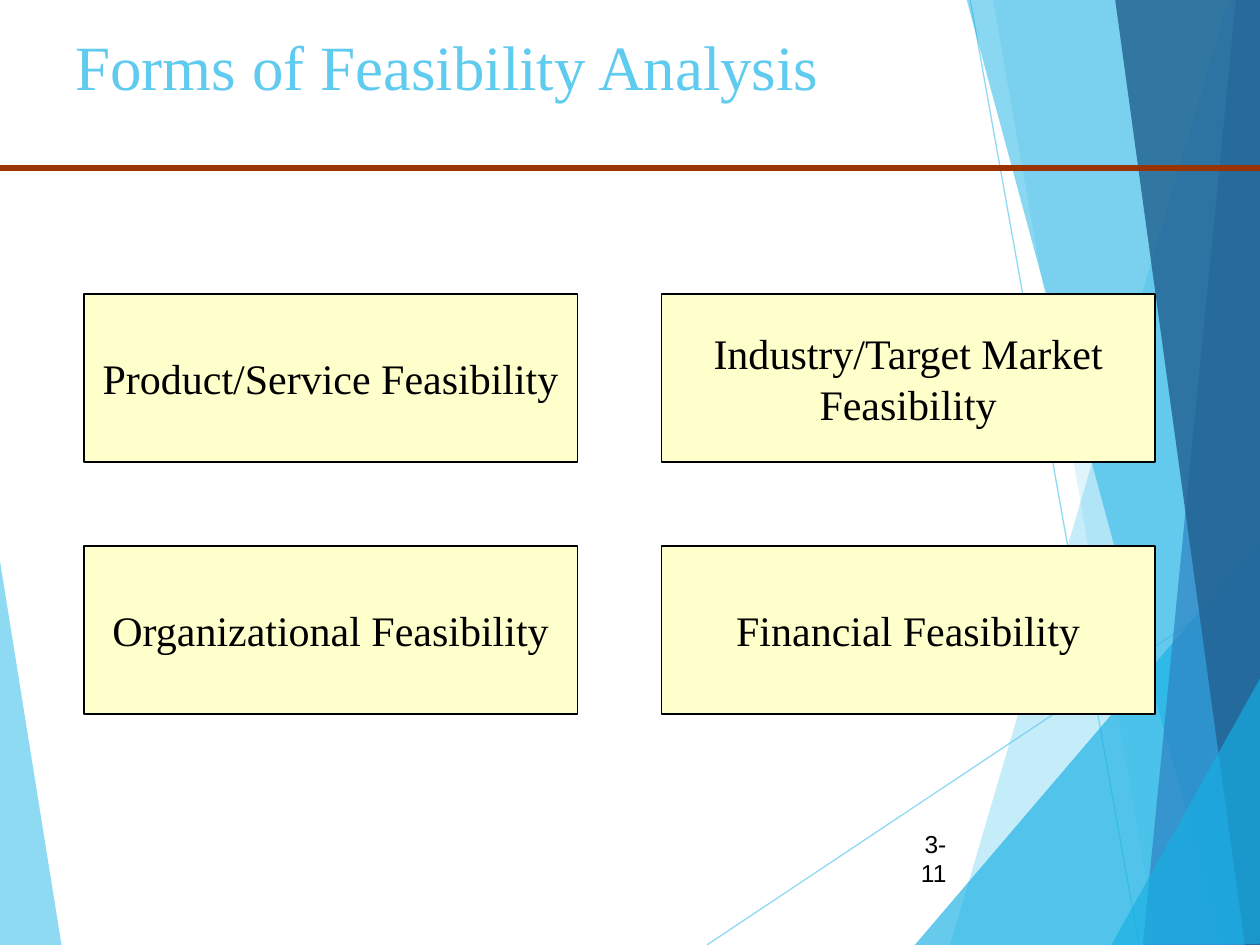
from dataclasses import dataclass

from lxml.etree import SubElement
from pptx import Presentation
from pptx.dml.color import RGBColor
from pptx.enum.shapes import MSO_CONNECTOR as Connector, MSO_SHAPE as Shape
from pptx.enum.text import MSO_ANCHOR as Anchor, PP_ALIGN as Align
from pptx.oxml.ns import qn
from pptx.util import Inches, Pt


@dataclass(frozen=True)
class Theme:
    sky: str = "5FCBEF"
    cyan: str = "17B0E4"
    blue: str = "2E83C3"
    navy: str = "236292"
    rule: str = "993300"
    card: str = "FFFFCC"
    ink: str = "000000"
    serif: str = "Times New Roman"
    sans: str = "Arial"
    title_size: int = 36
    card_size: int = 24
    number_size: int = 14


THEME = Theme()

TITLE = "Forms of Feasibility Analysis"
PAGE_NUMBER = "3-11"
CARD_ROWS = [
    [["Product/Service Feasibility"], ["Industry/Target Market", "Feasibility"]],
    [["Organizational Feasibility"], ["Financial Feasibility"]],
]

# Facets: colour, opacity in percent, corner points in inches
LEFT_FACET = (THEME.sky, 70, [(-0.01, 4.39), (0.49, 7.51), (-0.01, 7.5)])
RIGHT_FACETS = [
    (THEME.sky, 36, [(9.75, 0), (7.54, 7.5), (10.02, 7.51), (10.01, 0.01)]),
    (THEME.sky, 20, [(7.88, -0.01), (9.19, 7.5), (10.01, 7.5), (10.01, -0.01)]),
    (THEME.cyan, 66, [(7.26, 7.5), (10, 4.29), (10.01, 7.5)]),
    (THEME.cyan, 50, [(7.67, -0.01), (9.7, 7.5), (10.01, 7.49), (10.01, -0.01)]),
    (THEME.blue, 70, [(9.81, -0.01), (9.07, 7.5), (10.01, 7.5), (10, -0.01)]),
    (THEME.navy, 82, [(8.85, -0.01), (9.88, 7.5), (10.02, 7.5), (10, -0.01)]),
    (THEME.cyan, 66, [(8.82, 7.5), (10.02, 5.35), (10.02, 7.49)]),
]
ACCENT_LINES = [((5.61, 7.5), (10.01, 4.57)), ((7.7, 0), (9.04, 7.5))]

# The cards sit on a grid of twelfths of an inch
CARD_LEFT, CARD_TOP = 8 / 12, 28 / 12
CARD_WIDTH, CARD_HEIGHT = 47 / 12, 16 / 12
COLUMN_STEP, ROW_STEP = 55 / 12, 2
RULE_TOP = 16 / 12


def paint(fill, color, opacity=100):
    fill.solid()
    fill.fore_color.rgb = RGBColor.from_string(color)
    if opacity < 100:
        for node in fill._xPr.iter(qn("a:srgbClr")):
            SubElement(node, qn("a:alpha"), val=str(opacity * 1000))


def add_facet(page, color, opacity, points):
    start, *others = [(Inches(x), Inches(y)) for x, y in points]
    builder = page.shapes.build_freeform(*start)
    builder.add_line_segments(others, close=True)
    facet = builder.convert_to_shape()
    facet.shadow.inherit = False
    paint(facet.fill, color, opacity)
    facet.line.fill.background()


def add_line(page, start, end, color, width, opacity=100):
    ends = [Inches(value) for value in (*start, *end)]
    line = page.shapes.add_connector(Connector.STRAIGHT, *ends)
    line.line.width = Pt(width)
    paint(line.line.fill, color, opacity)
    SubElement(line._element.spPr, qn("a:effectLst"))


def write(box, lines, font, size, color, align, anchor, wrap):
    frame = box.text_frame
    frame.word_wrap = wrap
    frame.vertical_anchor = anchor
    for index, text in enumerate(lines):
        para = frame.add_paragraph() if index else frame.paragraphs[0]
        para.alignment = align
        span = para.add_run()
        span.text = text
        span.font.name = font
        span.font.size = Pt(size)
        span.font.color.rgb = RGBColor.from_string(color)


def add_card(page, row, column, lines):
    card = page.shapes.add_shape(
        Shape.RECTANGLE,
        Inches(CARD_LEFT + column * COLUMN_STEP), Inches(CARD_TOP + row * ROW_STEP),
        Inches(CARD_WIDTH), Inches(CARD_HEIGHT))
    card.shadow.inherit = False
    paint(card.fill, THEME.card)
    paint(card.line.fill, THEME.ink)
    card.line.width = Pt(0.75)
    write(card, lines, THEME.serif, THEME.card_size, THEME.ink,
          Align.CENTER, Anchor.MIDDLE, False)


def main():
    deck = Presentation()
    deck.slide_width, deck.slide_height = Inches(10), Inches(7.5)
    page = deck.slides.add_slide(deck.slide_layouts[6])

    add_facet(page, *LEFT_FACET)
    for start, end in ACCENT_LINES:
        add_line(page, start, end, THEME.sky, 0.75, 70)
    for facet in RIGHT_FACETS:
        add_facet(page, *facet)

    title = page.shapes.add_textbox(Inches(0.5), Inches(0.17), Inches(9), Inches(1.25))
    write(title, [TITLE], THEME.serif, THEME.title_size, THEME.sky,
          Align.LEFT, Anchor.TOP, True)

    number = page.shapes.add_textbox(Inches(7.05), Inches(6.61), Inches(0.56), Inches(0.4))
    write(number, [PAGE_NUMBER], THEME.sans, THEME.number_size, THEME.ink,
          Align.RIGHT, Anchor.MIDDLE, True)

    add_line(page, (0, RULE_TOP), (10, RULE_TOP), THEME.rule, 3)
    for row, cards in enumerate(CARD_ROWS):
        for column, lines in enumerate(cards):
            add_card(page, row, column, lines)

    deck.save("out.pptx")


if __name__ == "__main__":
    main()
